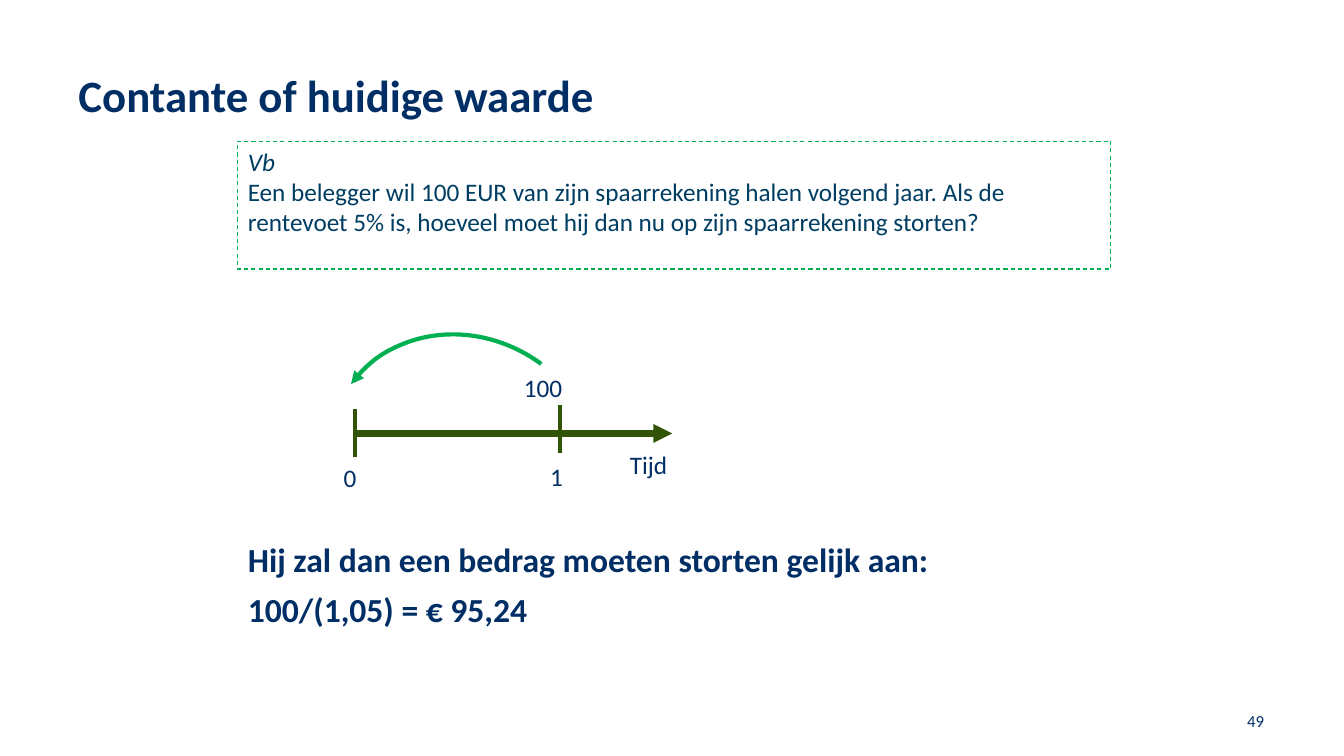
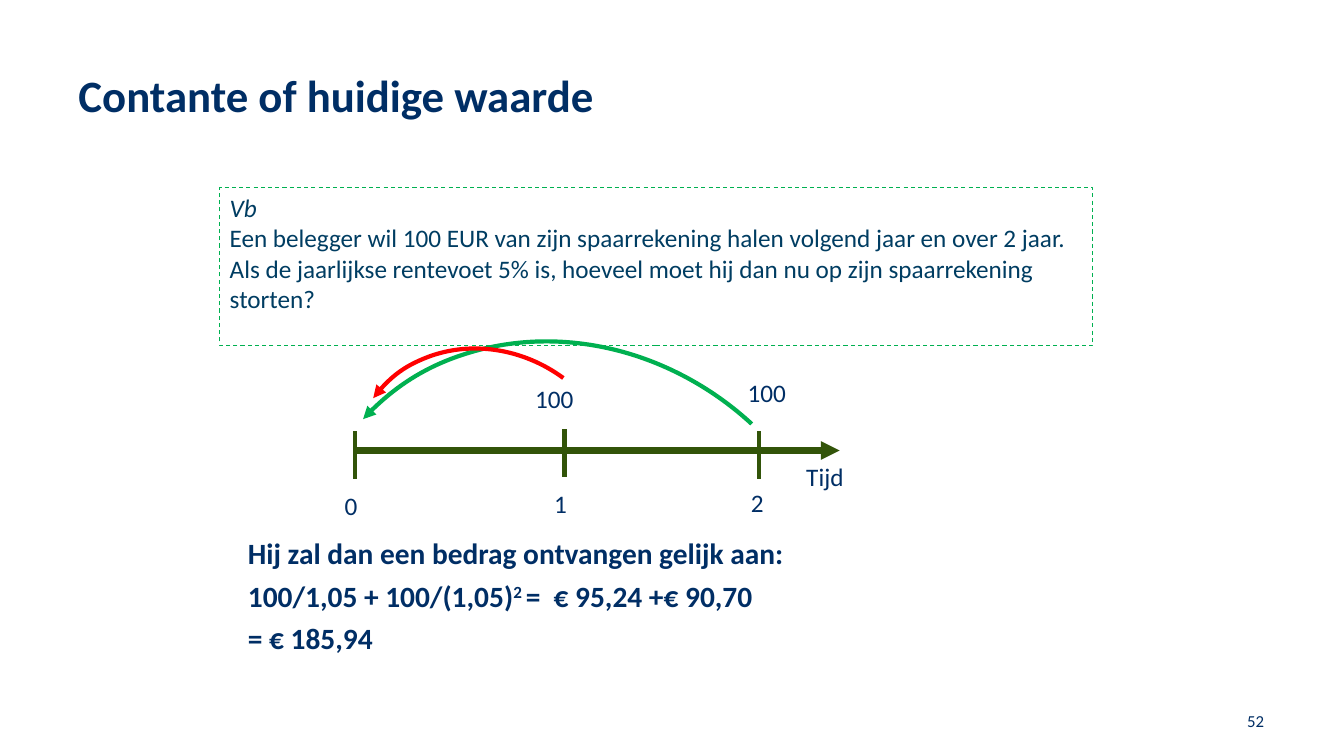
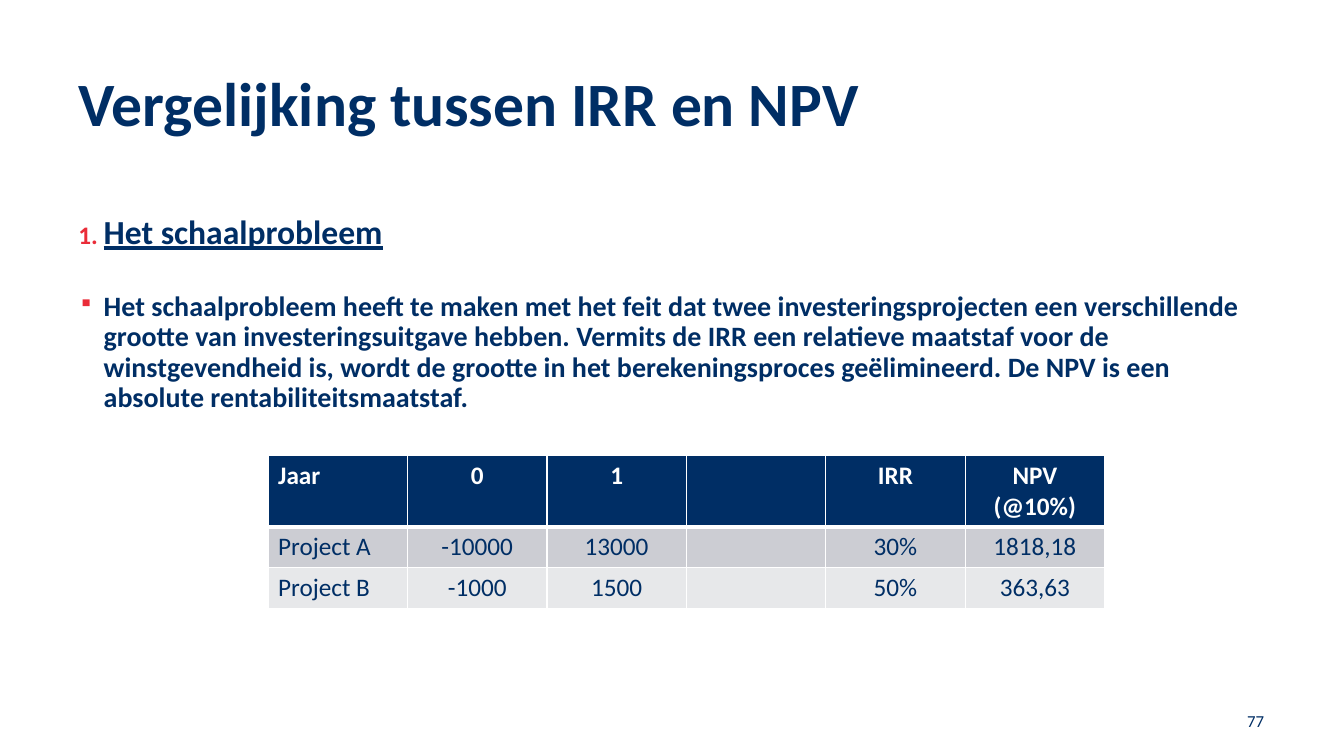
"""Build three slides on present value and on IRR versus NPV."""
import pptx
import pptx.util
import pptx.dml.color
import pptx.enum.dml
import pptx.enum.shapes
import pptx.enum.text
import pptx.oxml.ns
from lxml import etree

Pt = pptx.util.Pt
Align = pptx.enum.text.PP_ALIGN
Anchor = pptx.enum.text.MSO_ANCHOR
Shape = pptx.enum.shapes.MSO_SHAPE

FONT = "Calibri"
HUES = {"navy": "002E65", "ink": "003D62", "green": "00B050", "olive": "325409",
        "red": "FF0000", "mark": "EA2C38", "white": "FFFFFF",
        "dark": "CCCDD3", "light": "E7E8EA"}
TITLE = (49, 49, 861, 84)
FOOT = (694, 500.4, 216, 28.8)
TICK = 34

TIMES = [
    {"title": "Contante of huidige waarde", "page": "49",
     "case": "Een belegger wil 100 EUR van zijn spaarrekening halen volgend jaar. "
             "Als de rentevoet 5% is, hoeveel moet hij dan nu op zijn spaarrekening storten?",
     "frame": (170, 100.8, 623.5, 91.4),
     "axis": (253.4, 480.2, 309.6),
     "ticks": [(253.4, 292.3), (400.3, 289.6)],
     "labels": [("0", 238.3, 326.9), ("1", 385.9, 326.2),
                ("Tijd", 442.8, 317.5), ("100", 367.2, 262.1)],
     "arcs": [((239.8, 233.3, 184.3, 201.6), 306.4, "green")],
     "answer": ["Hij zal dan een bedrag moeten storten gelijk aan:",
                "100/(1,05) = € 95,24"],
     "place": (170, 384.5, 620, 85.7), "size": 24, "lead": 0.9},
    {"title": "Contante of huidige waarde", "page": "52",
     "case": "Een belegger wil 100 EUR van zijn spaarrekening halen volgend jaar en over 2 jaar. "
             "Als de jaarlijkse rentevoet 5% is, hoeveel moet hij dan nu op zijn spaarrekening storten?",
     "frame": (157, 133.9, 623.5, 113),
     "axis": (253.4, 599.8, 321.8),
     "ticks": [(253.4, 308.2), (403.2, 306.7), (542.2, 308.2)],
     "labels": [("0", 239, 347), ("1", 388.8, 345.6), ("2", 529.2, 344.2),
                ("Tijd", 568.8, 326.2), ("100", 527, 265.7), ("100", 375.1, 270)],
     "arcs": [((226.1, 232.6, 370.8, 413.3), 312.6, "green"),
              ((255.6, 243.4, 184.3, 201.6), 306.4, "red")],
     "answer": ["Hij zal dan een bedrag ontvangen gelijk aan:",
                ["100/1,05 + 100/(1,05)", ("2 ", {"base": 30000}), "=  € 95,24 +€ 90,70"],
                "= € 185,94"],
     "place": (170, 383.8, 620, 86.4), "size": 21, "lead": 0.8},
]

SCALE = {
    "title": "Vergelijking tussen IRR en NPV", "page": "77",
    "points": [
        [("Het schaalprobleem", {"size": 24, "line": True})],
        "Het schaalprobleem heeft te maken met het feit dat twee investeringsprojecten "
        "een verschillende grootte van investeringsuitgave hebben. Vermits de IRR een "
        "relatieve maatstaf voor de winstgevendheid is, wordt de grootte in het "
        "berekeningsproces geëlimineerd. De NPV is een absolute rentabiliteitsmaatstaf."],
    "marks": [("buAutoNum", {"type": "arabicPeriod"}), ("buChar", {"char": "▪"})],
    "place": (49, 150.5, 861, 340.5),
    "rows": [["Jaar", "0", "1", "", "IRR", "NPV (@10%)"],
             ["Project A", "-10000", "13000", "", "30%", "1818,18"],
             ["Project B", "-1000", "1500", "", "50%", "363,63"]],
    "grid": (191.5, 325.4, 597.6, 109.4), "tall": [51, 29.2, 29.2],
}


def rgb(hue):
    return pptx.dml.color.RGBColor.from_string(HUES[hue])


def pts(box):
    return [Pt(v) for v in box]


def sub(node, tag, **attrs):
    return etree.SubElement(node, pptx.oxml.ns.qn("a:" + tag), attrs)


def write(frame, paras, size=18, hue="navy", bold=False, align=Align.LEFT,
          lead=None, gap=None, anchor=Anchor.TOP):
    frame.word_wrap = True
    frame.vertical_anchor = anchor
    for i, runs in enumerate(paras):
        para = frame.paragraphs[0] if i == 0 else frame.add_paragraph()
        para.alignment = align
        if lead:
            para.line_spacing = lead
        if gap:
            para.space_before = Pt(gap)
        for part in [runs] if isinstance(runs, str) else runs:
            words, own = (part, {}) if isinstance(part, str) else part
            run = para.add_run()
            run.text = words
            font = run.font
            font.name, font.bold = FONT, bold
            font.size = Pt(own.get("size", size))
            font.color.rgb = rgb(hue)
            if own.get("slant"):
                font.italic = True
            if own.get("line"):
                font.underline = True
            if "base" in own:
                run._r.get_or_add_rPr().set("baseline", str(own["base"]))
    return frame


def label(slide, box, paras, **fmt):
    return write(slide.shapes.add_textbox(*pts(box)).text_frame, paras, **fmt)


def start(deck, data, size):
    slide = deck.slides.add_slide(deck.slide_layouts[6])
    label(slide, TITLE, [data["title"]], size=size, bold=True, lead=0.9)
    label(slide, FOOT, [data["page"]], size=12, align=Align.RIGHT, anchor=Anchor.MIDDLE)
    return slide


def tip(line, end):
    sub(line.line._get_or_add_ln(), end, type="triangle")


def rule(slide, ends, width):
    line = slide.shapes.add_connector(pptx.enum.shapes.MSO_CONNECTOR.STRAIGHT, *pts(ends))
    line.line.color.rgb = rgb("olive")
    line.line.width = Pt(width)
    sub(line._element.spPr, "effectLst")
    return line


def outline(slide, kind, box, hue, width):
    shape = slide.shapes.add_shape(kind, *pts(box))
    shape.shadow.inherit = False
    shape.fill.background()
    shape.line.color.rgb = rgb(hue)
    shape.line.width = Pt(width)
    return shape


def draw_time(deck, data):
    slide = start(deck, data, 32)
    label(slide, data["place"], data["answer"], size=data["size"], bold=True,
          lead=data["lead"], gap=10)
    case = outline(slide, Shape.RECTANGLE, data["frame"], "green", 0)
    case.line.dash_style = pptx.enum.dml.MSO_LINE.DASH
    write(case.text_frame, [[("Vb", {"slant": True})], data["case"]], hue="ink")
    left, right, mid = data["axis"]
    tip(rule(slide, (left, mid, right, mid), 4.5), "tailEnd")
    for x, top in data["ticks"]:
        rule(slide, (x, top, x, top + TICK), 3)
    for words, x, top in data["labels"]:
        label(slide, (x, top, 54, 28.8), [words])
    for box, turn, hue in data["arcs"]:
        arc = outline(slide, Shape.ARC, box, hue, 3)
        arc.rotation = turn
        tip(arc, "headEnd")


def edge(cell, low):
    props = cell._tc.get_or_add_tcPr()
    for i, (side, width) in enumerate([("L", 0.96), ("R", 0.96), ("T", 0.96), ("B", low)]):
        line = etree.Element(pptx.oxml.ns.qn("a:ln" + side), w=str(Pt(width)))
        sub(sub(line, "solidFill"), "srgbClr", val=HUES["white"])
        props.insert(i, line)


def draw_scale(deck, data):
    slide = start(deck, data, 44)
    body = label(slide, data["place"], data["points"], size=20, bold=True, lead=0.9, gap=10)
    body.paragraphs[1].space_before = Pt(29)
    for para, (tag, attrs) in zip(body.paragraphs, data["marks"]):
        props = para._p.get_or_add_pPr()
        props.set("marL", str(Pt(18)))
        props.set("indent", str(-Pt(18)))
        sub(sub(props, "buClr"), "srgbClr", val=HUES["mark"])
        sub(props, "buSzPct", val="75000")
        sub(props, tag, **attrs)
    rows = data["rows"]
    table = slide.shapes.add_table(len(rows), len(rows[0]), *pts(data["grid"])).table
    for r, row in enumerate(rows):
        table.rows[r].height = Pt(data["tall"][r])
        for c, words in enumerate(row):
            cell = table.cell(r, c)
            cell.fill.solid()
            cell.fill.fore_color.rgb = rgb(("navy", "dark", "light")[r])
            edge(cell, 0.96 if r else 3)
            if words:
                write(cell.text_frame, [words], hue="navy" if r else "white",
                      bold=r == 0, align=Align.CENTER if c else Align.LEFT)


def main():
    deck = pptx.Presentation()
    deck.slide_width, deck.slide_height = Pt(960), Pt(540)
    for data in TIMES:
        draw_time(deck, data)
    draw_scale(deck, SCALE)
    deck.save("out.pptx")


if __name__ == "__main__":
    main()
